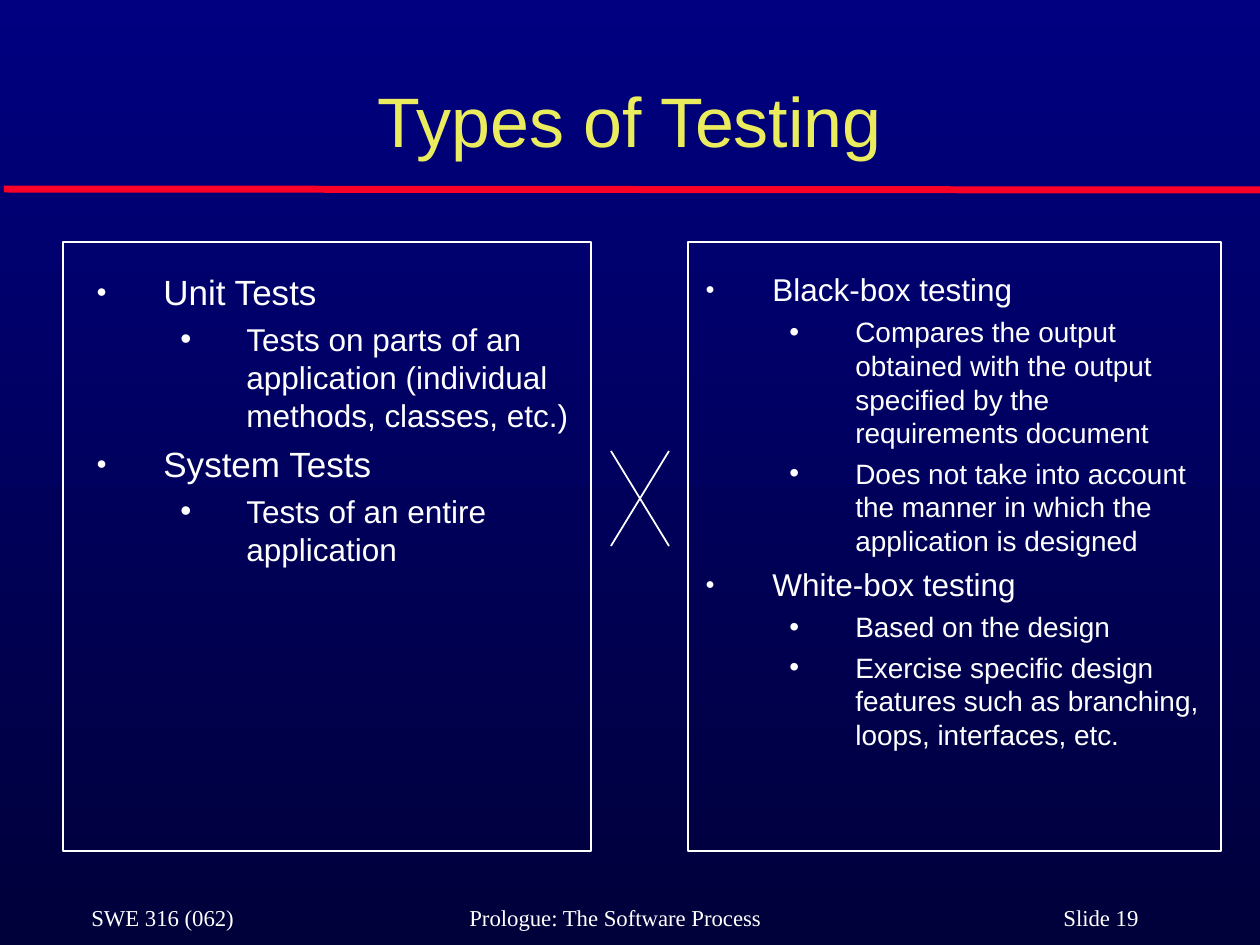
import pptx
import pptx.util
import pptx.dml.color
import pptx.enum.shapes
import pptx.enum.text
import pptx.oxml.ns
import lxml.etree

EMU_PER_PX = 914400 / 126
WHITE = "FFFFFF"


def px(length):
    return pptx.util.Emu(round(length * EMU_PER_PX))


def color(hex_code):
    return pptx.dml.color.RGBColor.from_string(hex_code)


def add_xml(parent, tag, **attributes):
    child = lxml.etree.SubElement(parent, pptx.oxml.ns.qn(tag))
    for key, value in attributes.items():
        child.set(key, str(value))
    return child


def write(paragraph, text, *, size, font="Arial", fill=WHITE, align=None,
          level=0, before=0, indent=None, bullet=None, bullet_size=100, tabs=()):
    """Put text in a paragraph; indent is (margin, first line) in px."""
    paragraph.text = text
    paragraph.level = level
    paragraph.alignment = align
    paragraph.space_before = pptx.util.Pt(before)
    properties = paragraph._p.get_or_add_pPr()
    if indent:
        properties.set("marL", str(px(indent[0])))
        properties.set("indent", str(px(indent[1])))
    if bullet:
        add_xml(add_xml(properties, "a:buClr"), "a:srgbClr", val=WHITE)
        add_xml(properties, "a:buSzPct", val=bullet_size * 1000)
        add_xml(properties, "a:buFont", typeface="Arial")
        add_xml(properties, "a:buChar", char=bullet)
    if tabs:
        stops = add_xml(properties, "a:tabLst")
        for position, side in tabs:
            add_xml(stops, "a:tab", pos=px(position), algn=side)
    paragraph.font.size = pptx.util.Pt(size)
    paragraph.font.name = font
    paragraph.font.color.rgb = color(fill)


class SlideBuilder:
    def __init__(self, deck):
        self.slide = deck.slides.add_slide(deck.slide_layouts[5])

    def background(self, top, bottom):
        fill = self.slide.background.fill
        fill.gradient()
        fill.gradient_angle = 270
        for stop, shade in zip(fill.gradient_stops, (top, bottom)):
            stop.color.rgb = color(shade)

    def title(self, text, left, top, width, height):
        heading = self.slide.shapes.title
        heading.left, heading.top = px(left), px(top)
        heading.width, heading.height = px(width), px(height)
        frame = heading.text_frame
        frame.auto_size = pptx.enum.text.MSO_AUTO_SIZE.NONE
        frame.vertical_anchor = pptx.enum.text.MSO_ANCHOR.BOTTOM
        write(frame.paragraphs[0], text, size=40, fill="EAEC5E",
              align=pptx.enum.text.PP_ALIGN.CENTER)

    def text_area(self, left, top, width, height):
        area = self.slide.shapes.add_textbox(px(left), px(top), px(width), px(height))
        area.text_frame.word_wrap = True
        return area.text_frame

    def outline(self, left, top, width, height, topics, size):
        """Two-level bullet list; details are 2 pt smaller than topics."""
        frame = self.text_area(left, top, width, height)
        entries = [(level, text) for topic, details in topics
                   for level, text in [(0, topic)] + [(1, item) for item in details]]
        for number, (level, text) in enumerate(entries):
            paragraph = frame.add_paragraph() if number else frame.paragraphs[0]
            points = size - 2 * level
            write(paragraph, text, size=points, level=level,
                  before=points / 4 if number else 0,
                  indent=((67, -67), (150, -66))[level],
                  bullet="●•"[level], bullet_size=(50, 100)[level])

    def border(self, left, top, width, height):
        box = self.slide.shapes.add_shape(
            pptx.enum.shapes.MSO_SHAPE.RECTANGLE,
            px(left), px(top), px(width), px(height))
        box.shadow.inherit = False
        box.fill.background()
        box.line.color.rgb = color(WHITE)
        box.line.width = pptx.util.Pt(1)

    def line(self, x1, y1, x2, y2, stroke=WHITE, weight=1):
        rule = self.slide.shapes.add_connector(
            pptx.enum.shapes.MSO_CONNECTOR.STRAIGHT, px(x1), px(y1), px(x2), px(y2))
        rule.line.color.rgb = color(stroke)
        rule.line.width = pptx.util.Pt(weight)
        add_xml(rule._element.spPr, "a:effectLst")


TEST_SCOPES = [
    ("Unit Tests", [
        "Tests on parts of an application (individual methods, classes, etc.)"]),
    ("System Tests", ["Tests of an entire application"]),
]
TEST_APPROACHES = [
    ("Black-box testing", [
        "Compares the output obtained with the output specified by the "
        "requirements document",
        "Does not take into account the manner in which the application is designed"]),
    ("White-box testing", [
        "Based on the design",
        "Exercise specific design features such as branching, loops, interfaces, etc."]),
]


def main():
    deck = pptx.Presentation()
    deck.slide_width, deck.slide_height = px(1260), px(945)
    builder = SlideBuilder(deck)
    builder.background("000080", "00003B")

    # Rule and footer
    builder.line(4, 189, 1260, 190, stroke="FC0128", weight=4)
    footer = builder.text_area(79, 898, 1124, 40)
    write(footer.paragraphs[0],
          "SWE 316 (062)\tPrologue: The Software Process\tSlide 19",
          size=13, font="Times New Roman", tabs=((378, "l"), (1047, "r")))

    # Title
    builder.title("Types of Testing", 92, 42, 1075, 126)

    # Lists
    builder.outline(693, 264, 528, 570, TEST_APPROACHES, size=18)
    builder.outline(84, 264, 528, 570, TEST_SCOPES, size=20)

    # Frames and the cross between them
    builder.border(63, 242, 528, 609)
    builder.border(688, 242, 533, 609)
    for start, end in ((669, 611), (611, 669)):
        builder.line(start, 451, end, 546)

    deck.save("out.pptx")


if __name__ == "__main__":
    main()
